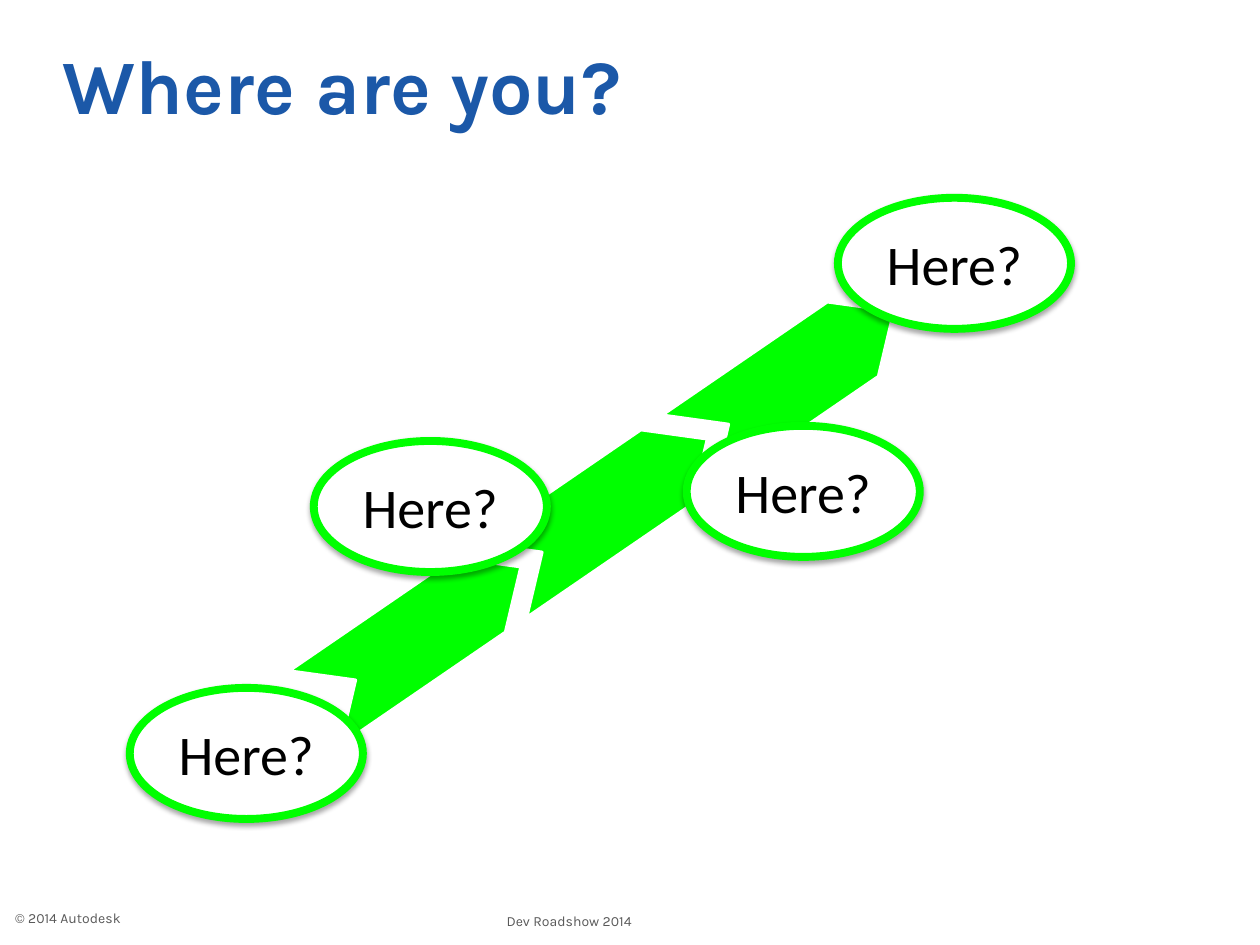
"""Build the "Where are you?" slide with a rising path of chevrons and questions."""
from lxml.etree import SubElement
from pptx import Presentation
from pptx.dml.color import RGBColor
from pptx.enum.shapes import MSO_SHAPE
from pptx.enum.text import MSO_ANCHOR, PP_ALIGN
from pptx.oxml.ns import qn
from pptx.util import Inches, Pt

GREEN = RGBColor(0x00, 0xFF, 0x00)
WHITE = RGBColor(0xFF, 0xFF, 0xFF)
BLACK = RGBColor(0x00, 0x00, 0x00)
BLUE = RGBColor(0x1B, 0x58, 0xA8)
GRAY = RGBColor(0x59, 0x59, 0x59)

TITLE = ("Where are you?", (0.5, 0.3, 9, 1.25), 44, BLUE, True)
FOOTERS = [
    ("© 2014 Autodesk", (0.12, 7.22, 1.05, 0.13), 8, GRAY, False),
    ("Dev Roadshow 2014", (4.02, 7.24, 1.25, 0.13), 8, GRAY, False),
]
QUESTION = "Here?"
QUESTION_POSITIONS = [(6.65, 1.57), (2.49, 3.5), (1.03, 5.46), (5.45, 3.38)]
QUESTION_SIZE = (1.85, 1.04)
CHEVRON_COUNT = 3
CHEVRON_START = (2.32, 4.7)
CHEVRON_STEP = (1.48, -1.015)
CHEVRON_SIZE = (1.99, 0.72)
CHEVRON_ROTATION = 325.6
CHEVRON_POINT = 0.55


def inches(values):
    return [Inches(value) for value in values]


def format_text(text_frame, text, font_name, size, color, bold=False):
    text_frame.text = text
    font = text_frame.paragraphs[0].runs[0].font
    font.name, font.size, font.bold = font_name, Pt(size), bold
    font.color.rgb = color


def add_label(slide, text, box, size, color, bold):
    text_frame = slide.shapes.add_textbox(*inches(box)).text_frame
    text_frame.margin_left = text_frame.margin_right = 0
    text_frame.margin_top = text_frame.margin_bottom = 0
    text_frame.word_wrap = bold
    format_text(text_frame, text, "Karla", size, color, bold)


def add_filled_shape(shapes, kind, box, fill, line, line_width):
    shape = shapes.add_shape(kind, *inches(box))
    shape.shadow.inherit = False
    shape.fill.solid()
    shape.fill.fore_color.rgb = fill
    shape.line.color.rgb = line
    shape.line.width = Pt(line_width)
    return shape


def add_soft_shadow(shape):
    effects = shape.element.spPr.find(qn("a:effectLst"))
    shadow = SubElement(effects, qn("a:outerShdw"), blurRad=str(Pt(3.1)),
                        dist=str(Pt(1.8)), dir="5400000", rotWithShape="0")
    color = SubElement(shadow, qn("a:srgbClr"), val=str(BLACK))
    SubElement(color, qn("a:alpha"), val="35000")


def add_chevrons(slide):
    group = slide.shapes.add_group_shape()
    for index in range(CHEVRON_COUNT):
        position = [start + index * step for start, step in zip(CHEVRON_START, CHEVRON_STEP)]
        chevron = add_filled_shape(group.shapes, MSO_SHAPE.CHEVRON,
                                   (*position, *CHEVRON_SIZE), GREEN, WHITE, 2)
        chevron.adjustments[0] = CHEVRON_POINT
        chevron.rotation = CHEVRON_ROTATION


def add_question(slide, position):
    ellipse = add_filled_shape(slide.shapes, MSO_SHAPE.OVAL,
                               (*position, *QUESTION_SIZE), WHITE, GREEN, 4.5)
    add_soft_shadow(ellipse)
    text_frame = ellipse.text_frame
    text_frame.vertical_anchor = MSO_ANCHOR.MIDDLE
    format_text(text_frame, QUESTION, "Calibri", 32, BLACK)
    text_frame.paragraphs[0].alignment = PP_ALIGN.CENTER


def main():
    presentation = Presentation()
    presentation.slide_width, presentation.slide_height = Inches(10), Inches(7.5)
    slide = presentation.slides.add_slide(presentation.slide_layouts[6])
    for label in [*FOOTERS, TITLE]:
        add_label(slide, *label)
    add_chevrons(slide)
    for position in QUESTION_POSITIONS:
        add_question(slide, position)
    presentation.save("out.pptx")


if __name__ == "__main__":
    main()
